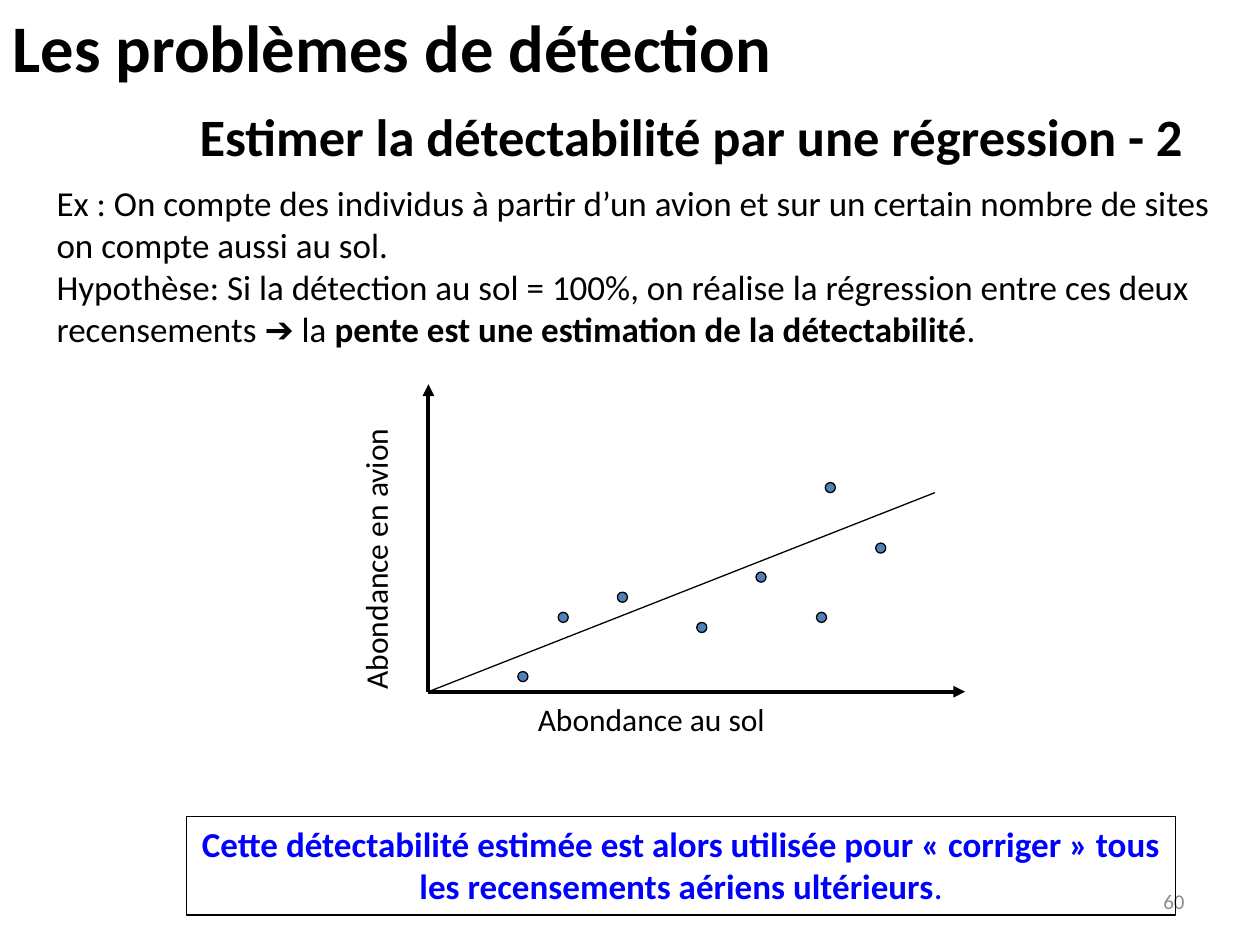
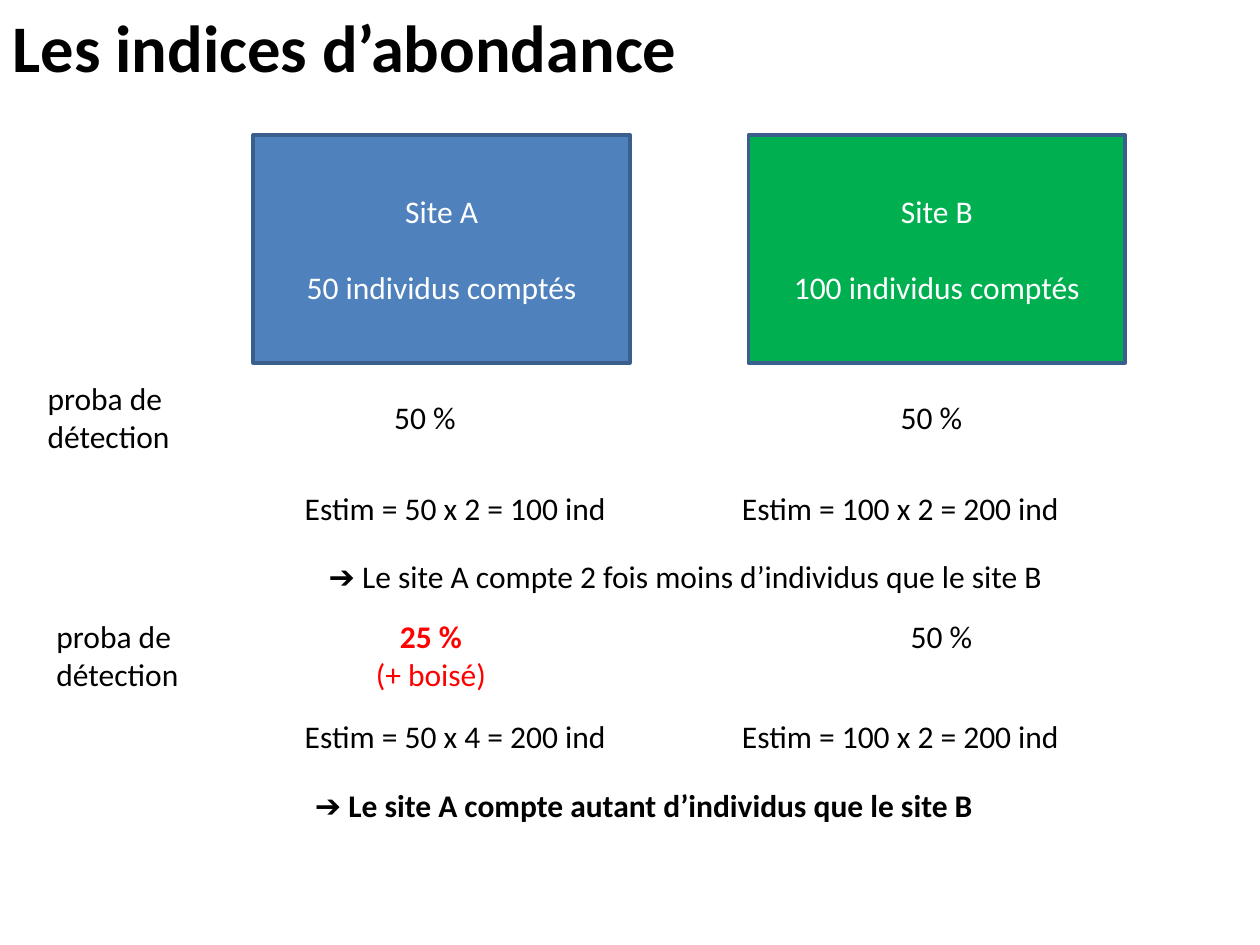
from pptx import Presentation
from pptx import util as u
from pptx.dml.color import RGBColor
from pptx.enum import shapes, text
from pptx.oxml.ns import qn
from lxml import etree

COLORS = {
    "ink": "000000",
    "page_number": "8C8C8C",
    "conclusion": "0000FF",
    "alert": "FF0000",
    "site_a": "4F81BD",
    "site_b": "00B050",
    "site_edge": "3A5F8C",
    "on_site": "FFFFFF",
}
FONT = "Calibri"
LEFT, CENTER, RIGHT = text.PP_ALIGN.LEFT, text.PP_ALIGN.CENTER, text.PP_ALIGN.RIGHT
TOP, MIDDLE = text.MSO_ANCHOR.TOP, text.MSO_ANCHOR.MIDDLE
BOLD = {"bold": True}


def color(name):
    return RGBColor.from_string(COLORS[name])


def lengths(*values):
    return [u.Inches(value) for value in values]


def write(shape, paragraphs, size=18, ink="ink", align=LEFT, anchor=TOP,
          wrap=True, gap=0):
    """Fill a shape; a paragraph is a string or a list of (string, font values)."""
    frame = shape.text_frame
    frame_format = {"auto_size": text.MSO_AUTO_SIZE.NONE, "word_wrap": wrap,
                    "vertical_anchor": anchor}
    for key, value in frame_format.items():
        setattr(frame, key, value)
    for index, content in enumerate(paragraphs):
        paragraph = frame.add_paragraph() if index else frame.paragraphs[0]
        paragraph.alignment = align
        if index and gap:
            paragraph.space_before = u.Pt(gap)
        runs = [(content, {})] if isinstance(content, str) else content
        for words, extra in runs:
            run = paragraph.add_run()
            run.text = words
            run.font.color.rgb = color(ink)
            font_format = {"name": FONT, "size": u.Pt(size), "bold": False, **extra}
            for key, value in font_format.items():
                setattr(run.font, key, value)


def add_text(slide, place, paragraphs, **style):
    box = slide.shapes.add_textbox(*lengths(*place))
    write(box, paragraphs, **style)
    return box


def add_label(slide, place, words, **style):
    """One unwrapped line, 0.4 inch high."""
    return add_text(slide, (*place, 0.4), [words], wrap=False, **style)


def add_titled_slide(deck, title, width):
    slide = deck.slides.add_slide(deck.slide_layouts[5])
    heading = slide.shapes.title
    heading.left, heading.top, heading.width, heading.height = lengths(0, 0, width, 0.74)
    write(heading, [[(title, BOLD)]], size=38, wrap=False)
    return slide


def add_figure(slide, kind, place, fill, edge, weight):
    figure = slide.shapes.add_shape(kind, *lengths(*place))
    figure.shadow.inherit = False
    if fill:
        figure.fill.solid()
        figure.fill.fore_color.rgb = color(fill)
    else:
        figure.fill.background()
    figure.line.color.rgb = color(edge)
    figure.line.width = u.Pt(weight)
    return figure


def add_line(slide, start, end, weight, arrow=False):
    line = slide.shapes.add_connector(shapes.MSO_CONNECTOR.STRAIGHT,
                                      *lengths(*start, *end))
    line.line.color.rgb = color("ink")
    line.line.width = u.Pt(weight)
    if arrow:
        etree.SubElement(line.line._get_or_add_ln(), qn("a:tailEnd"), type="triangle")
    etree.SubElement(line._element.spPr, qn("a:effectLst"))


def add_regression_plot(slide):
    origin = (3.4, 5.49)
    for axis_end in [(7.66, 5.49), (3.4, 3.05)]:
        add_line(slide, origin, axis_end, 2.25, arrow=True)
    add_line(slide, origin, (7.42, 3.91), 0.75)
    add_label(slide, (4.17, 5.51, 2.2), "Abondance au sol")
    add_label(slide, (1.74, 4.13, 2.48), "Abondance en avion").rotation = 270

    counts = [(4.11, 5.33), (4.43, 4.86), (4.9, 4.7), (5.53, 4.94),
              (6, 4.54), (6.48, 4.86), (6.55, 3.83), (6.95, 4.31)]
    for left, top in counts:
        add_figure(slide, shapes.MSO_SHAPE.OVAL, (left, top, 0.08, 0.08),
                   "site_a", "ink", 0.75)


def build_detection_slide(deck):
    slide = add_titled_slide(deck, "Les problèmes de détection", 6.28)
    add_text(slide, (1.14, 0.78, 8.7, 0.61),
             [[("Estimer la détectabilité par une régression - 2", BOLD)]],
             size=30, align=CENTER)
    add_text(slide, (0.35, 1.39, 9.45, 1.43), [
        "Ex : On compte des individus à partir d’un avion et sur un certain nombre "
        "de sites on compte aussi au sol.",
        [("Hypothèse: Si la détection au sol = 100%, on réalise la régression entre "
          "ces deux recensements ➔ la ", {}),
         ("pente est une estimation de la détectabilité", BOLD),
         (".", {})],
    ], size=20)
    add_regression_plot(slide)
    add_text(slide, (7.17, 6.95, 2.33, 0.4), ["60"], size=12, ink="page_number",
             align=RIGHT, anchor=MIDDLE)
    conclusion = add_figure(slide, shapes.MSO_SHAPE.RECTANGLE,
                            (1.48, 6.48, 7.85, 0.78), None, "ink", 1)
    write(conclusion, [[
        ("Cette détectabilité estimée est alors utilisée pour « corriger » tous "
         "les recensements aériens ultérieurs", BOLD),
        (".", {}),
    ]], size=20, ink="conclusion", align=CENTER)


def build_index_slide(deck):
    slide = add_titled_slide(deck, "Les indices d’abondance", 5.52)

    sites = [("Site A", "50 individus comptés", "site_a", 2.01),
             ("Site B", "100 individus comptés", "site_b", 5.94)]
    for name, count, fill, left in sites:
        site = add_figure(slide, shapes.MSO_SHAPE.RECTANGLE,
                          (left, 1.07, 2.99, 1.81), fill, "site_edge", 2)
        write(site, [name, count], ink="on_site", align=CENTER, anchor=MIDDLE, gap=22)

    for left, top in [(0.28, 2.96), (0.35, 4.85)]:
        add_text(slide, (left, top, 1.73, 0.71), ["proba de détection"])
    for left, top in [(3.03, 3.11), (7.05, 3.11), (7.13, 4.85)]:
        add_label(slide, (left, top, 0.7), "50 %")
    add_text(slide, (2.87, 4.85, 1.1, 0.71), [[("25 %", BOLD)], "(+ boisé)"],
             ink="alert", align=CENTER, wrap=False)

    for top, estimate_a in [(3.83, "50 x 2 = 100"), (5.64, "50 x 4 = 200")]:
        add_label(slide, (2.32, top, 2.62), f"Estim = {estimate_a} ind")
        add_label(slide, (5.79, top, 2.75), "Estim = 100 x 2 = 200 ind")

    add_label(slide, (2.51, 4.37, 5.94),
              "➔ Le site A compte 2 fois moins d’individus que le site B")
    add_label(slide, (2.4, 6.19, 5.49),
              [("➔ Le site A compte autant d’individus que le site B", BOLD)])


def main():
    deck = Presentation()
    deck.slide_width, deck.slide_height = lengths(10, 7.5)
    build_detection_slide(deck)
    build_index_slide(deck)
    deck.save("out.pptx")


if __name__ == "__main__":
    main()
